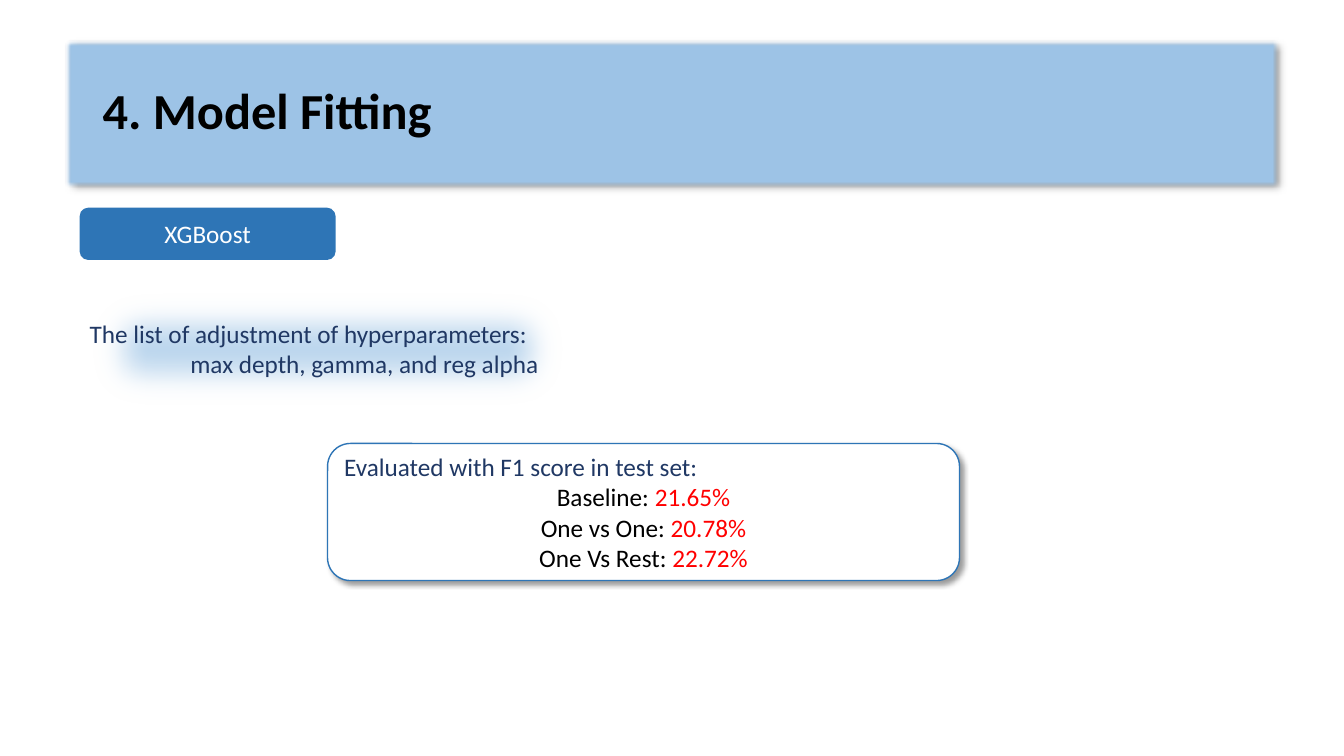
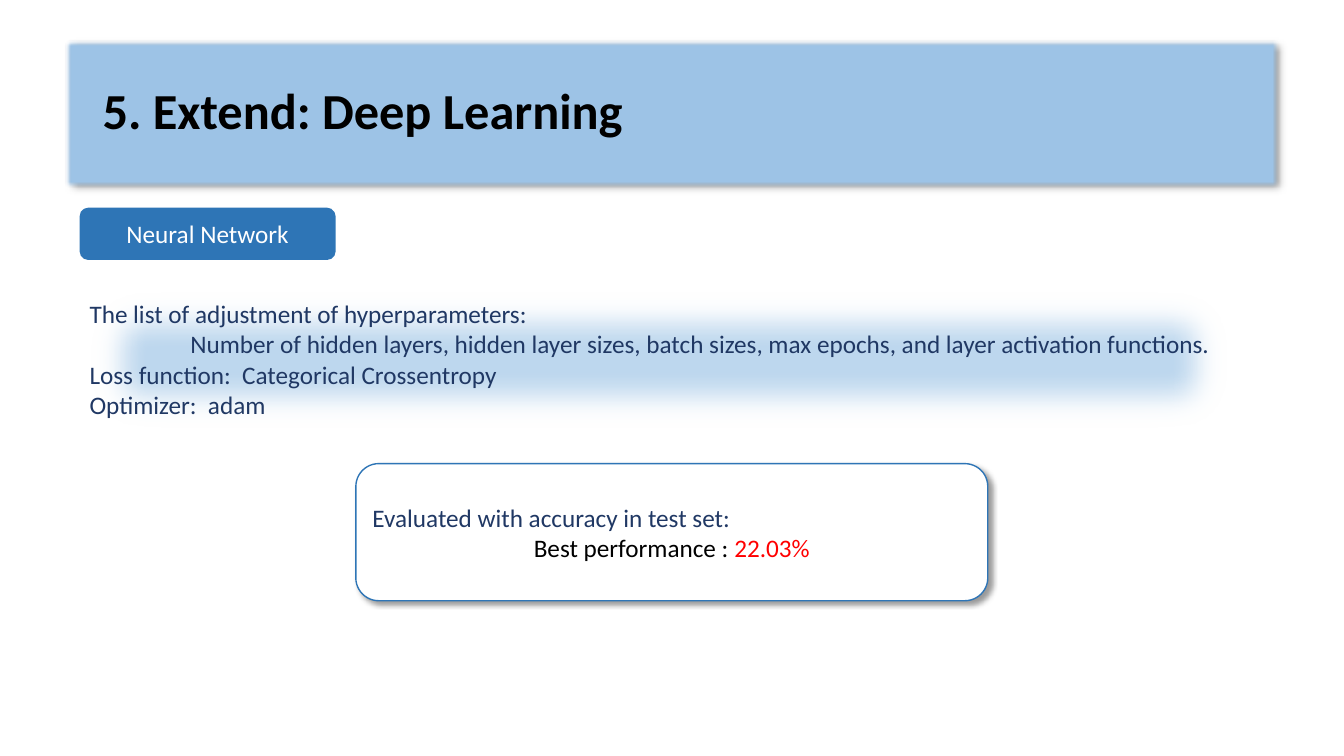
"""Build two model result slides with a shared title band, badge, note and score card."""
import dataclasses

import lxml.etree
import pptx
import pptx.dml.color
import pptx.enum.shapes
import pptx.enum.text
import pptx.oxml.ns
import pptx.util

Pt = pptx.util.Pt
RGB = pptx.dml.color.RGBColor.from_string
Shapes = pptx.enum.shapes.MSO_SHAPE
Align = pptx.enum.text.PP_ALIGN


@dataclasses.dataclass(frozen=True)
class Theme:
    font: str = "Calibri"
    title_size: int = 36
    body_size: int = 18
    band: str = "9DC3E6"
    band_line: str = "325491"
    accent: str = "2E75B6"
    note: str = "BDD7EE"
    navy: str = "203864"
    black: str = "000000"
    white: str = "FFFFFF"
    red: str = "FF0000"


theme = Theme()


def add_panel(page, kind, bounds, fill, line=None, shadow=False, soft_edge=0):
    box = page.shapes.add_shape(kind, *[Pt(length) for length in bounds])
    box.shadow.inherit = False
    box.fill.solid()
    box.fill.fore_color.rgb = RGB(fill)
    if line:
        box.line.color.rgb = RGB(line)
        box.line.width = Pt(1)
    else:
        box.line.fill.background()
    qn = pptx.oxml.ns.qn
    effects = box._element.spPr.find(qn("a:effectLst"))
    if shadow:
        outer = lxml.etree.SubElement(
            effects, qn("a:outerShdw"), blurRad=str(Pt(4)), dist=str(Pt(3)),
            dir=str(45 * 60000), algn="tl", rotWithShape="0")
        color = lxml.etree.SubElement(outer, qn("a:srgbClr"), val=theme.black)
        lxml.etree.SubElement(color, qn("a:alpha"), val="40000")
    if soft_edge:
        lxml.etree.SubElement(effects, qn("a:softEdge"), rad=str(Pt(soft_edge)))
    return box


def write(box, lines, size=theme.body_size, bold=False):
    frame = box.text_frame
    frame.word_wrap = True
    frame.vertical_anchor = pptx.enum.text.MSO_ANCHOR.MIDDLE
    for index, (layout, pieces) in enumerate(lines):
        para = frame.add_paragraph() if index else frame.paragraphs[0]
        para.alignment = layout.get("alignment", Align.LEFT)
        para.line_spacing = layout.get("line_spacing", 1.0)
        if "indent" in layout:
            para._p.get_or_add_pPr().set("marL", str(Pt(layout["indent"])))
        for text, color in pieces:
            span = para.add_run()
            span.text = text
            style = {"name": theme.font, "size": Pt(size), "bold": bold}
            for name, value in style.items():
                setattr(span.font, name, value)
            span.font.color.rgb = RGB(color)


left_edge = 56.9
centered = {"alignment": Align.CENTER}
indented = {"indent": 72}
hyperparameters = ({}, "The list of adjustment of hyperparameters: ")

topics = [
    {
        "title": "4. Model Fitting ",
        "badge": "XGBoost",
        "note_size": (354.2, 97.9),
        "note": [hyperparameters, (indented, "max depth, gamma, and reg alpha  ")],
        "card_at": (234, 316.8),
        "measure": "Evaluated with F1 score in test set:",
        "scores": [("Baseline: ", "21.65%"), ("One vs One: ", "20.78%"),
                   ("One Vs Rest: ", "22.72%")],
    },
    {
        "title": "5. Extend: Deep Learning",
        "badge": "Neural Network",
        "note_size": (828, 112.3),
        "note": [
            hyperparameters,
            (indented, "Number of hidden layers, hidden layer sizes, batch sizes, "
                       "max epochs, and layer activation functions."),
            ({}, "Loss function:  Categorical Crossentropy"),
            ({}, "Optimizer:  adam"),
        ],
        "card_at": (254.2, 331.2),
        "measure": "Evaluated with accuracy in test set:",
        "scores": [("Best performance : ", "22.03%")],
    },
]

deck = pptx.Presentation()
deck.slide_width, deck.slide_height = Pt(960), Pt(540)

for topic in topics:
    page = deck.slides.add_slide(deck.slide_layouts[6])

    add_panel(page, Shapes.RECTANGLE, (46.8, 28.8, 866.2, 104.4), theme.band,
              line=theme.band_line, shadow=True, soft_edge=2.5)
    title = page.shapes.add_textbox(Pt(66.2), Pt(28.8), Pt(828), Pt(104.4))
    write(title, [({"line_spacing": 0.9}, [(topic["title"], theme.black)])],
          size=theme.title_size, bold=True)

    badge = add_panel(page, Shapes.ROUNDED_RECTANGLE,
                      (left_edge, 148.3, 182.9, 37.4), theme.accent)
    write(badge, [(centered, [(topic["badge"], theme.white)])])

    note = add_panel(page, Shapes.RECTANGLE, (left_edge, 200.2, *topic["note_size"]),
                     theme.note, soft_edge=25)
    write(note, [(layout, [(text, theme.navy)]) for layout, text in topic["note"]])

    card = add_panel(page, Shapes.ROUNDED_RECTANGLE, (*topic["card_at"], 451.4, 97.9),
                     theme.white, line=theme.accent, shadow=True)
    scores = [(centered, [(label, theme.black), (value, theme.red)])
              for label, value in topic["scores"]]
    write(card, [({}, [(topic["measure"], theme.navy)]), *scores])

deck.save("out.pptx")
